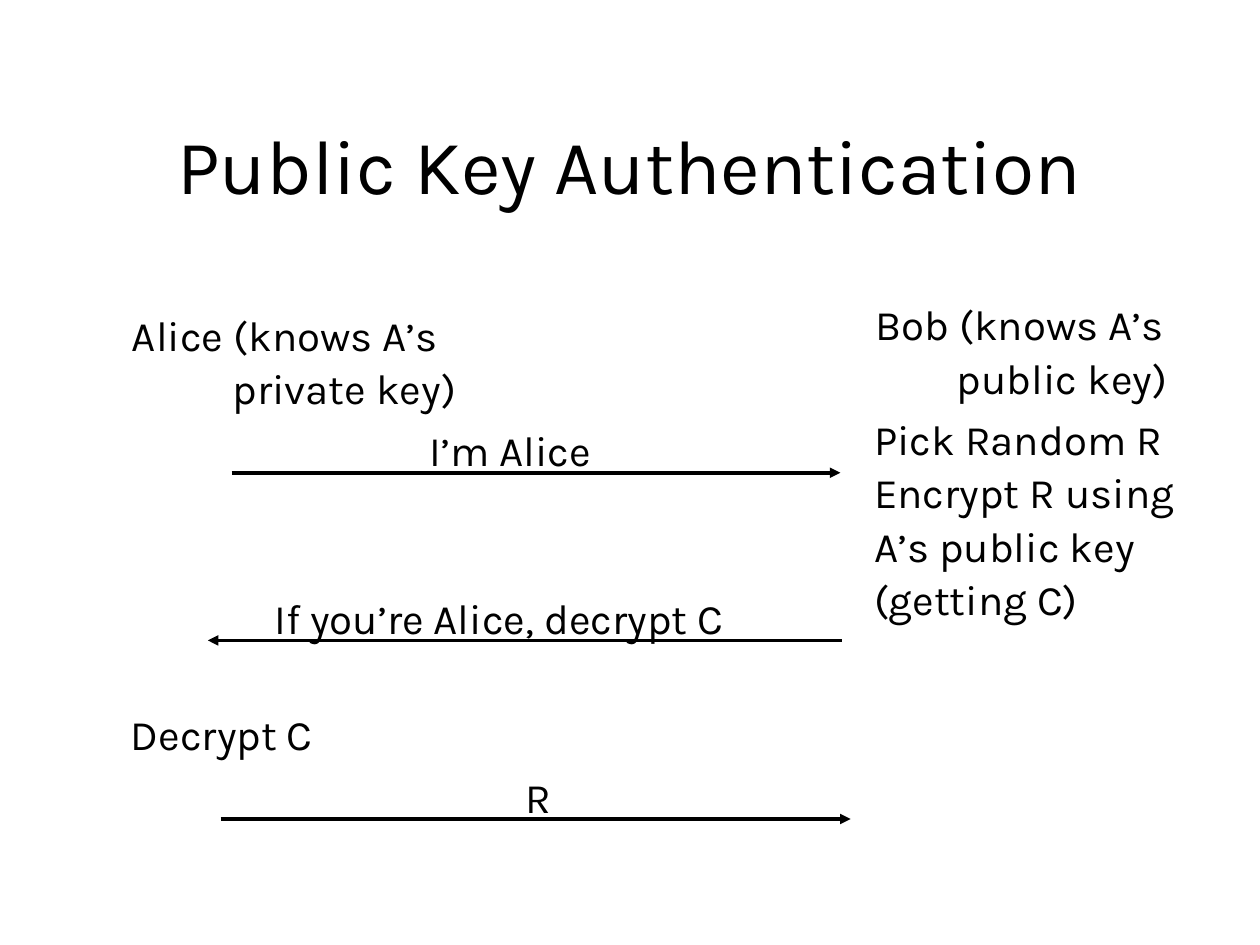
from lxml.etree import SubElement
from pptx import Presentation
from pptx.dml.color import RGBColor
from pptx.enum.shapes import MSO_CONNECTOR
from pptx.enum.text import MSO_ANCHOR, MSO_AUTO_SIZE, PP_ALIGN
from pptx.oxml.ns import qn
from pptx.util import Cm, Pt

COLORS = {"ink": "000000", "paper": "FFFFFF"}
LABEL_RISE = 1.1  # from the top of a message label down to its arrow
LINE_HEIGHT = 1.3


class ProtocolSlide:
    font_name = "Karla"
    title_size = 44
    text_size = 24

    def __init__(self, deck):
        self.page = deck.slides.add_slide(deck.slide_layouts[5])
        fill = self.page.background.fill
        fill.solid()
        fill.fore_color.rgb = RGBColor.from_string(COLORS["paper"])

    def span(self, para, text, size, spacing):
        para.line_spacing = spacing
        span = para.add_run()
        span.text = text
        span.font.name = self.font_name
        span.font.size = Pt(size)
        span.font.color.rgb = RGBColor.from_string(COLORS["ink"])

    def title(self, text, left, top, width, height):
        box = self.page.shapes.title
        box.left, box.top = Cm(left), Cm(top)
        box.width, box.height = Cm(width), Cm(height)
        frame = box.text_frame
        frame.auto_size = MSO_AUTO_SIZE.NONE
        frame.vertical_anchor = MSO_ANCHOR.MIDDLE
        para = frame.paragraphs[0]
        para.alignment = PP_ALIGN.CENTER
        self.span(para, text, self.title_size, 1.01)

    def text(self, lines, left, top, width, height=LINE_HEIGHT, indent=0):
        """Add one paragraph per line; indent applies after the first."""
        box = self.page.shapes.add_textbox(Cm(left), Cm(top), Cm(width), Cm(height))
        frame = box.text_frame
        frame.word_wrap = True
        for number, line in enumerate(lines):
            para = frame.add_paragraph() if number else frame.paragraphs[0]
            if number and indent:
                para._p.get_or_add_pPr().set("marL", str(Cm(indent)))
            self.span(para, line, self.text_size, 1.06 if number else 1.01)

    def message(self, label, label_left, label_width, start, end, level):
        """Draw an arrow from start to end with its label just above."""
        arrow = self.page.shapes.add_connector(
            MSO_CONNECTOR.STRAIGHT, Cm(start), Cm(level), Cm(end), Cm(level))
        arrow.line.width = Pt(2)
        arrow.line.color.rgb = RGBColor.from_string(COLORS["ink"])
        outline = arrow._element.spPr.find(qn("a:ln"))
        SubElement(outline, qn("a:tailEnd"), type="triangle")
        SubElement(arrow._element.spPr, qn("a:effectLst"))
        self.text([label], label_left, level - LABEL_RISE, label_width)


def main():
    deck = Presentation()
    deck.slide_width, deck.slide_height = Cm(25.4), Cm(19.05)
    slide = ProtocolSlide(deck)
    slide.title("Public Key Authentication", 1.9, 1.7, 21.6, 3.18)

    # The two parties and what each knows
    slide.text(["Alice (knows A’s", "private key)"], 2.41, 6.1, 7.34, 2.36, indent=2.03)
    slide.text(["Bob (knows A’s", "public key)"], 17.4, 5.89, 6.53, 2.36, indent=1.64)

    # Messages between them
    slide.message("I’m Alice", 8.41, 4.7, 4.67, 16.94, 9.53)
    slide.message("If you’re Alice, decrypt C", 5.28, 10.06, 16.97, 4.19, 12.91)
    slide.message("R", 10.34, 1.04, 4.45, 17.15, 16.51)

    # Steps each party takes
    slide.text(["Pick Random R", "Encrypt R using", "A’s public key", "(getting C)"],
               17.37, 8.2, 6.68, 4.52)
    slide.text(["Decrypt C"], 2.39, 14.15, 4.37)

    deck.save("out.pptx")


if __name__ == "__main__":
    main()
